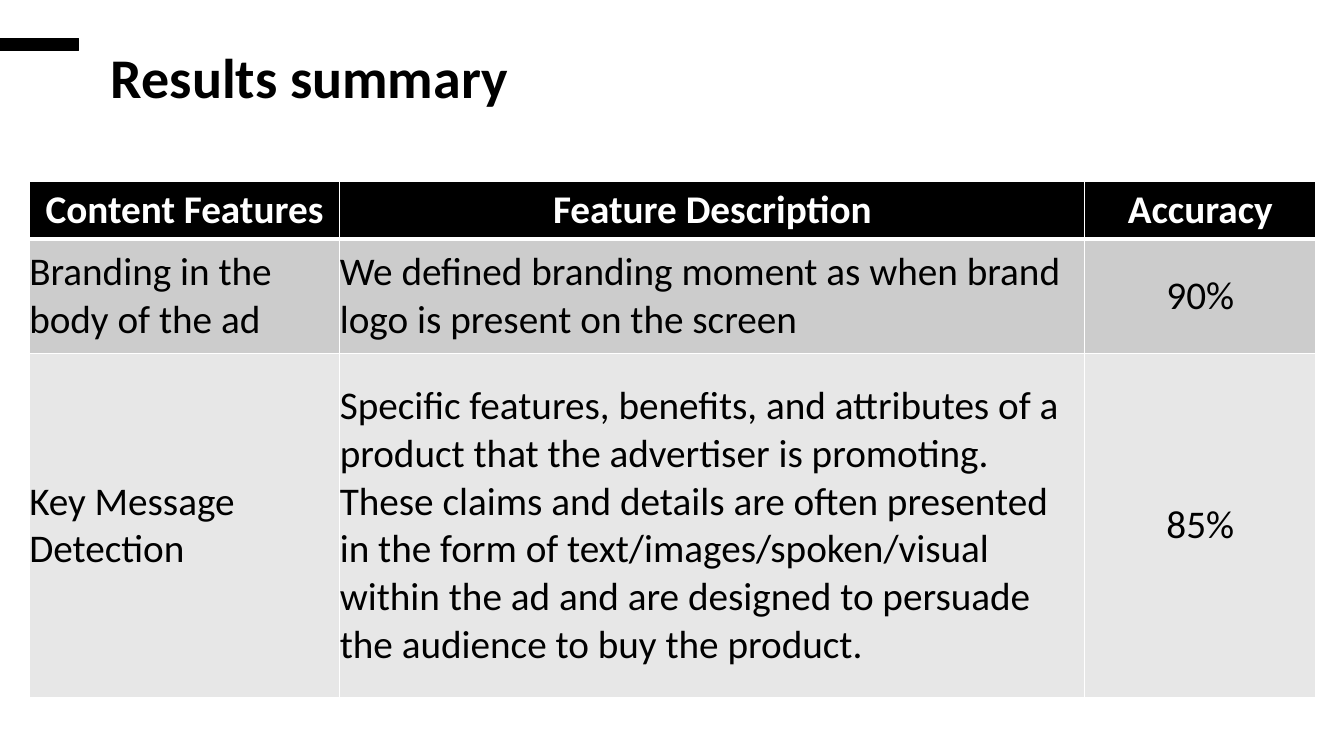
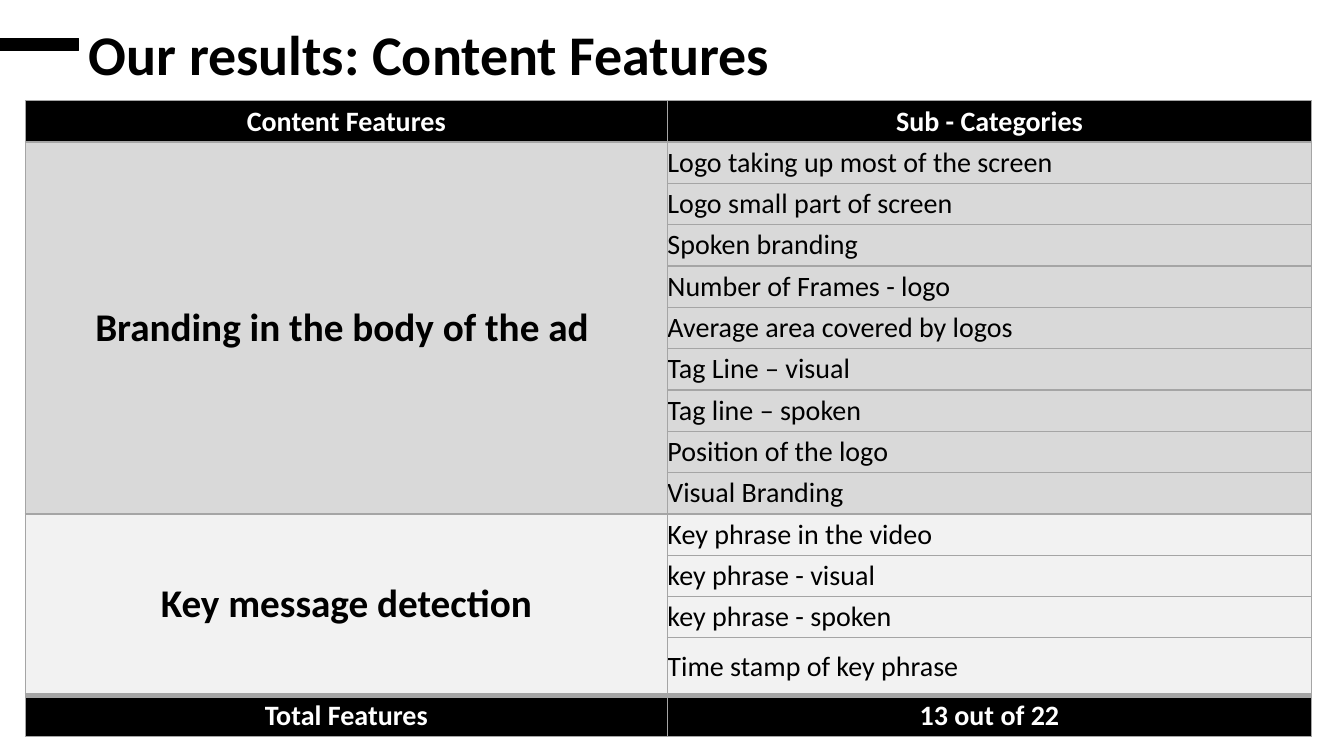
from lxml import etree
from pptx import Presentation
from pptx import util as u
from pptx.dml.color import RGBColor
from pptx.enum import shapes, text
from pptx.oxml.ns import qn

BLACK, WHITE, GREY = "000000", "FFFFFF", "A5A5A5"
FONT = "Calibri"


def rgb(code):
    return RGBColor.from_string(code)


class Deck:
    def __init__(self):
        self.prs = Presentation()
        self.prs.slide_width = u.Inches(13.33)
        self.prs.slide_height = u.Inches(7.5)
        self.slide = None

    def style(self, para, size, color=BLACK, bold=False, center=False):
        para.alignment = text.PP_ALIGN.CENTER if center else text.PP_ALIGN.LEFT
        font = para.font
        font.name, font.size, font.bold = FONT, u.Pt(size), bold
        font.color.rgb = rgb(color)

    def page(self, title, box, anchor, space=1.0):
        """Start a slide with its title and the black side bar."""
        self.slide = self.prs.slides.add_slide(self.prs.slide_layouts[5])
        head = self.slide.shapes.title
        head.left, head.top, head.width, head.height = map(u.Inches, box)
        frame = head.text_frame
        frame.text = title
        frame.auto_size = text.MSO_AUTO_SIZE.NONE
        frame.word_wrap = True
        frame.vertical_anchor = anchor
        para = frame.paragraphs[0]
        para.line_spacing = space
        self.style(para, 40, bold=True)
        self.bar()

    def bar(self):
        bar = self.slide.shapes.add_shape(
            shapes.MSO_SHAPE.RECTANGLE, 0, u.Inches(0.38), u.Inches(0.78), u.Inches(0.12))
        bar.shadow.inherit = False
        bar.fill.solid()
        bar.fill.fore_color.rgb = rgb(BLACK)
        bar.line.color.rgb = rgb(BLACK)
        bar.line.width = u.Pt(1)

    def table(self, left, top, cols, rows, edge, rules):
        """Add a table; rules maps a row boundary to a line width other than 1 pt."""
        frame = self.slide.shapes.add_table(
            len(rows), len(cols), u.Inches(left), u.Inches(top),
            u.Inches(sum(cols)), u.Inches(sum(rows)))
        table = frame.table
        table.first_row = table.horz_banding = False
        for col, width in zip(table.columns, cols):
            col.width = u.Inches(width)
        for num, height in enumerate(rows):
            table.rows[num].height = u.Inches(height)
            for cell in table.rows[num].cells:
                self.edges(cell, edge, rules.get(num, 1), rules.get(num + 1, 1))
        return table

    def edges(self, cell, color, above, below):
        props = cell._tc.get_or_add_tcPr()
        for side, width in (("L", 1), ("R", 1), ("T", above), ("B", below)):
            line = etree.SubElement(props, qn(f"a:ln{side}"), w=str(u.Pt(width)))
            fill = etree.SubElement(line, qn("a:solidFill"))
            etree.SubElement(fill, qn("a:srgbClr"), val=color)

    def cell(self, cell, words, fill, size, **look):
        cell.margin_left = cell.margin_right = cell.margin_top = cell.margin_bottom = 0
        cell.vertical_anchor = text.MSO_ANCHOR.MIDDLE
        cell.fill.solid()
        cell.fill.fore_color.rgb = rgb(fill)
        cell.text = words
        self.style(cell.text_frame.paragraphs[0], size, **look)

    def band(self, table, row, words, size):
        """Fill a black row with bold white text."""
        for cell, word in zip(table.rows[row].cells, words):
            self.cell(cell, word, BLACK, size, color=WHITE, bold=True, center=True)


def summary(deck):
    deck.page("Results summary", (1, 0.37, 6.84, 0.77), text.MSO_ANCHOR.TOP)
    table = deck.table(0.29, 1.8, (3.08, 7.39, 2.29), (0.57, 1.14, 3.41), WHITE, {1: 3})
    deck.band(table, 0, ("Content Features", "Feature Description", "Accuracy"), 28)
    body = (
        ("CCCCCC", "Branding in the body of the ad",
         "We defined branding moment as when brand logo is present on the screen", "90%"),
        ("E7E7E7", "Key Message Detection",
         "Specific features, benefits, and attributes of a product that the advertiser is "
         "promoting. These claims and details are often presented in the form of "
         "text/images/spoken/visual within the ad and are designed to persuade the "
         "audience to buy the product.", "85%"),
    )
    for row, (fill, *words) in enumerate(body, 1):
        for col, word in enumerate(words):
            deck.cell(table.cell(row, col), word, fill, 28, center=col == 2)


def features(deck):
    deck.page("Our results: Content Features", (0.78, 0.06, 12.26, 1.02),
              text.MSO_ANCHOR.MIDDLE, 0.9)
    groups = (
        ("Branding in the body of the ad ", "D9D9D9", (
            "Logo taking up most of the screen", "Logo small part of screen",
            "Spoken branding", "Number of Frames - logo",
            "Average area covered by logos", "Tag Line – visual",
            "Tag line – spoken", "Position of the logo", "Visual Branding")),
        ("Key message detection", "F2F2F2", (
            "Key phrase in the video", "key phrase - visual",
            "key phrase - spoken", "Time stamp of key phrase")),
    )
    rows = [0.41] * 13 + [0.57, 0.41]
    last = len(rows) - 1
    table = deck.table(0.25, 1, (6.37, 6.39), rows, GREY, {1: 2, last: 4})
    deck.band(table, 0, ("Content Features", "Sub - Categories"), 20)
    row = 1
    for name, fill, subs in groups:
        first = table.cell(row, 0)
        first.merge(table.cell(row + len(subs) - 1, 0))
        deck.cell(first, name, fill, 28, bold=True, center=True)
        for row, sub in enumerate(subs, row):
            deck.cell(table.cell(row, 1), sub, fill, 20)
        row += 1
    deck.band(table, last, ("Total Features", "13 out of 22"), 20)


def main():
    deck = Deck()
    summary(deck)
    features(deck)
    deck.prs.save("out.pptx")


if __name__ == "__main__":
    main()
